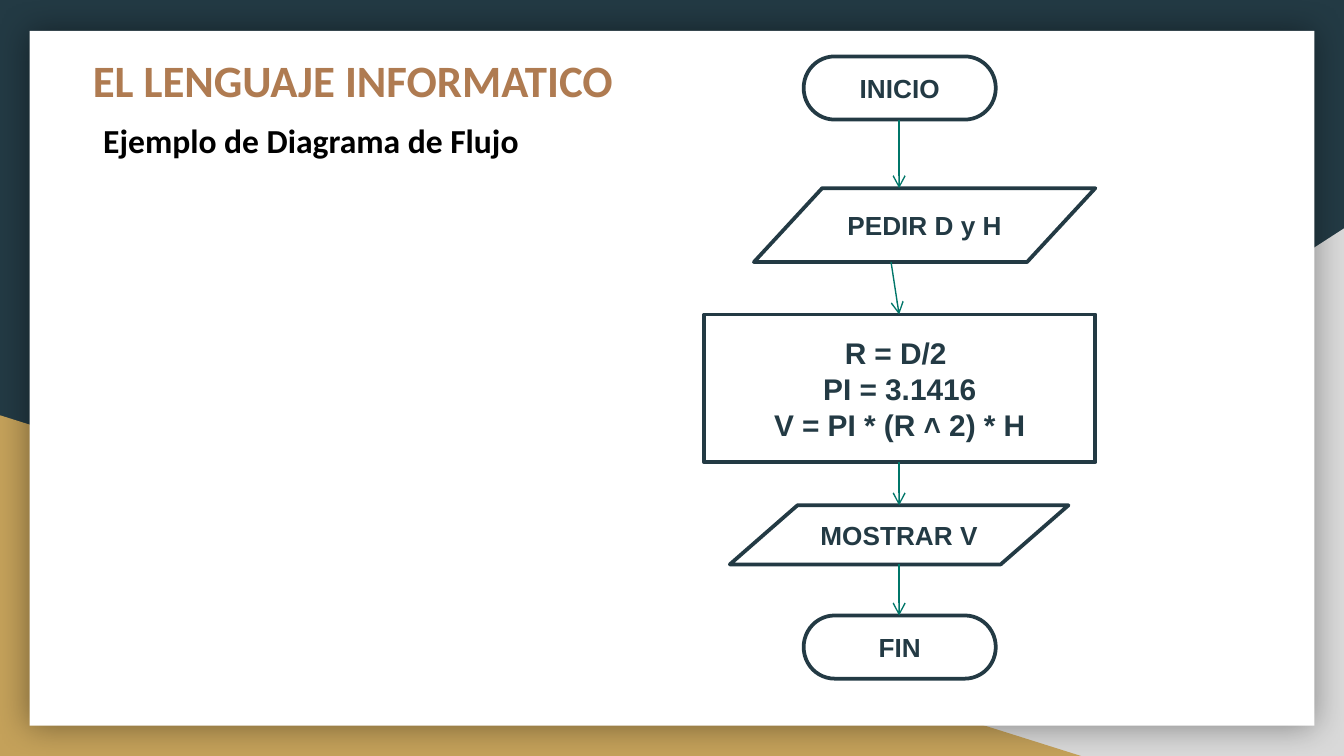
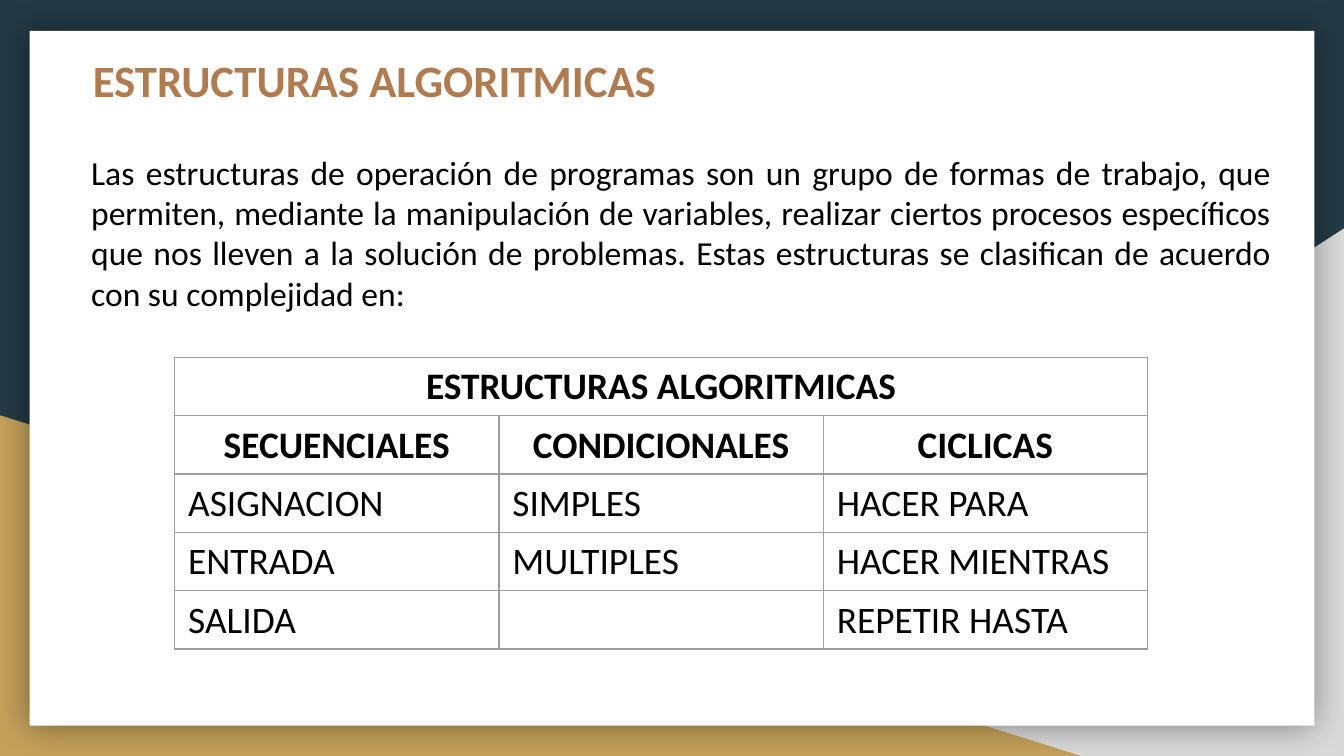
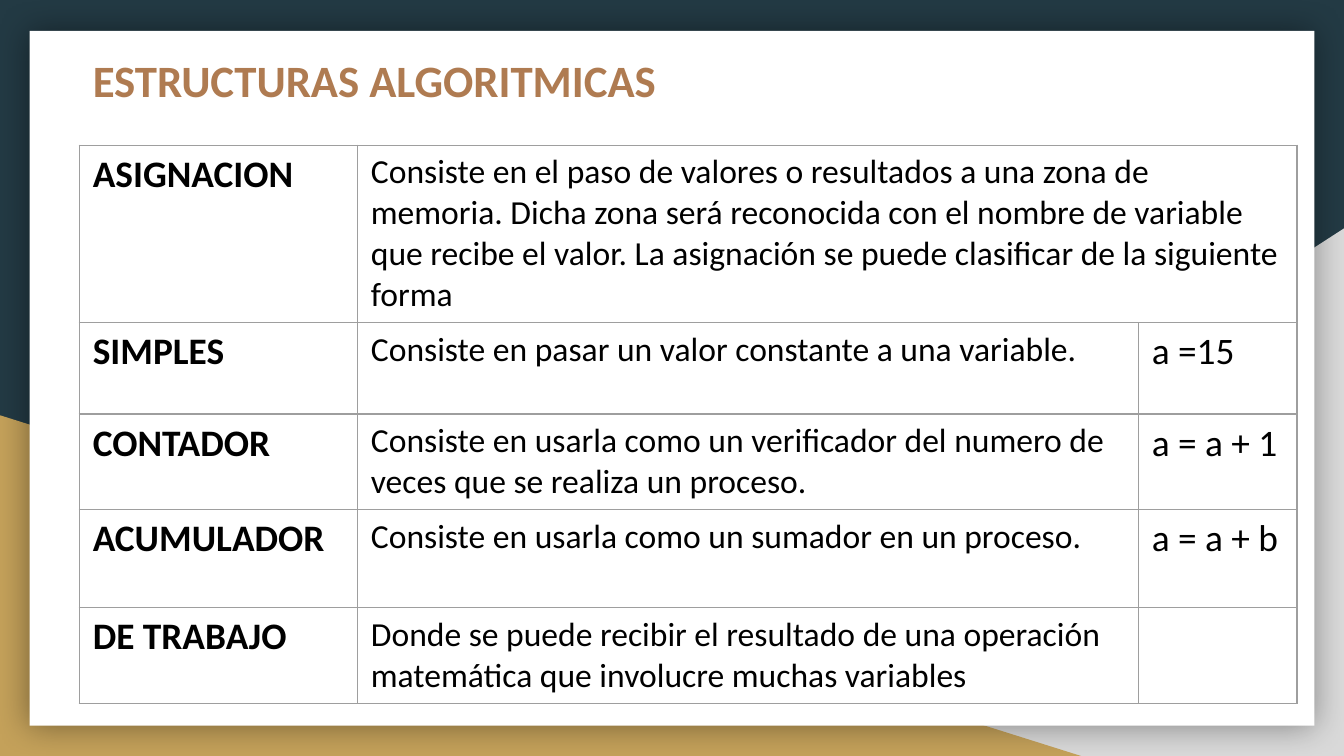
from lxml.etree import SubElement
from pptx import Presentation
from pptx.dml.color import RGBColor
from pptx.enum.shapes import MSO_CONNECTOR, MSO_SHAPE
from pptx.enum.text import MSO_ANCHOR, MSO_AUTO_SIZE, PP_ALIGN
from pptx.oxml.ns import qn
from pptx.util import Inches, Pt

WIDTH = 10
HEIGHT = WIDTH * 9 / 16

NAVY, GOLD, GREY, WHITE = "233A44", "C4A15A", "D9D9D9", "FFFFFF"
BROWN, BLACK, GREEN, RULE = "AF7B51", "000000", "007669", "9E9E9E"

FLOW_TITLE = "EL LENGUAJE INFORMATICO"
FLOW_SUB = "Ejemplo de Diagrama de Flujo"
TYPES_TITLE = "ESTRUCTURAS ALGORITMICAS"

END, DATA, STEP = (MSO_SHAPE.FLOWCHART_TERMINATOR, MSO_SHAPE.FLOWCHART_DATA,
                   MSO_SHAPE.FLOWCHART_PROCESS)
AXIS = 6.69
# kind, text, size, box, x where the arrow leaves
FLOW = [
    (END, "INICIO", 14, (5.98, 0.42, 1.43, 0.47), AXIS),
    (DATA, "PEDIR D y H", 14, (5.61, 1.4, 2.54, 0.55), 6.63),
    (STEP, "R = D/2 \nPI = 3.1416\nV = PI * (R ˄ 2) * H", 16,
     (5.24, 2.34, 2.91, 1.1), AXIS),
    (DATA, "MOSTRAR V", 14, (5.43, 3.76, 2.52, 0.44), AXIS),
    (END, "FIN", 14, (5.98, 4.58, 1.43, 0.47), AXIS),
]

INTRO = ("Las estructuras de operación de programas son un grupo de formas de "
         "trabajo, que permiten, mediante la manipulación de variables, realizar "
         "ciertos procesos específicos que nos lleven a la solución de problemas. "
         "Estas estructuras se clasifican de acuerdo con su complejidad en:")
TYPES = [
    ("ESTRUCTURAS ALGORITMICAS", "", ""),
    ("SECUENCIALES", "CONDICIONALES", "CICLICAS"),
    ("ASIGNACION", "SIMPLES", "HACER PARA"),
    ("ENTRADA", "MULTIPLES", "HACER MIENTRAS"),
    ("SALIDA", "", "REPETIR HASTA"),
]
ASSIGN = [
    ("ASIGNACION", "Consiste en el paso de valores o resultados a una zona de "
     "memoria. Dicha zona será reconocida con el nombre de variable que recibe "
     "el valor. La asignación se puede clasificar de la siguiente forma", ""),
    ("SIMPLES", "Consiste en pasar un valor constante a una variable.", "a =15"),
    ("CONTADOR", "Consiste en usarla como un verificador del numero de veces que "
     "se realiza un proceso.", "a = a + 1"),
    ("ACUMULADOR", "Consiste en usarla como un sumador en un proceso.", "a = a + b"),
    ("DE TRABAJO", "Donde se puede recibir el resultado de una operación "
     "matemática que involucre muchas variables", ""),
]


def color(code):
    return RGBColor.from_string(code)


def inches(box):
    return [Inches(n) for n in box]


def write(frame, text, size, bold=False, align=PP_ALIGN.LEFT, ink=BLACK,
          font="Calibri"):
    frame.text = text
    for para in frame.paragraphs:
        para.alignment = align
        for run in para.runs:
            run.font.name, run.font.size, run.font.bold = font, Pt(size), bold
            run.font.color.rgb = color(ink)


def add_box(slide, kind, box, fill=None, line=None):
    shape = slide.shapes.add_shape(kind, *inches(box))
    shape.shadow.inherit = False
    if fill:
        shape.fill.solid()
        shape.fill.fore_color.rgb = color(fill)
    else:
        shape.fill.background()
    if line:
        shape.line.color.rgb = color(line)
        shape.line.width = Pt(2)
    else:
        shape.line.fill.background()
    return shape


def add_glow(shape):
    """Give the shape a soft, centred shadow."""
    effects = shape.element.spPr.find(qn("a:effectLst"))
    glow = SubElement(effects, qn("a:outerShdw"), blurRad=str(Pt(18)), dist="0",
                      dir="0", algn="ctr", rotWithShape="0")
    ink = SubElement(glow, qn("a:srgbClr"), val=BLACK)
    SubElement(ink, qn("a:alpha"), val="40000")


def set_theme(deck, layout, slide):
    """Draw the backdrop and hand it to the layout, so every slide shows it."""
    back = deck.slide_master.background.fill
    back.solid()
    back.fore_color.rgb = color(NAVY)
    right = add_box(slide, MSO_SHAPE.RIGHT_TRIANGLE, (3.92, 1.7, 6.08, 3.93), GREY)
    right.element.spPr.find(qn("a:xfrm")).set("flipH", "1")
    left = add_box(slide, MSO_SHAPE.RIGHT_TRIANGLE, (0, 3.09, 8.06, 2.54), GOLD)
    card = add_box(slide, MSO_SHAPE.RECTANGLE, (0.22, 0.23, 9.56, 5.17), WHITE)
    add_glow(card)
    for spot, shape in enumerate((right, left, card), start=2):
        layout.shapes.element.insert(spot, shape.element)


def set_title(slide, text):
    title = slide.shapes.title
    title.left, title.top, title.width, title.height = inches((0.59, 0.29, 8.9, 0.71))
    frame = title.text_frame
    frame.auto_size = MSO_AUTO_SIZE.NONE
    frame.vertical_anchor = MSO_ANCHOR.TOP
    frame.margin_left = frame.margin_right = Inches(0.1)
    frame.margin_top = frame.margin_bottom = Inches(0.1)
    write(frame, text, 24, True, ink=BROWN)


def add_text(slide, text, box, **style):
    frame = slide.shapes.add_textbox(*inches(box)).text_frame
    frame.word_wrap = True
    frame.auto_size = MSO_AUTO_SIZE.SHAPE_TO_FIT_TEXT
    write(frame, text, 18, **style)


def add_arrow(slide, start, end):
    arrow = slide.shapes.add_connector(MSO_CONNECTOR.STRAIGHT, *inches(start + end))
    arrow.line.color.rgb = color(GREEN)
    arrow.line.width = Pt(0.75)
    line = arrow.element.spPr.find(qn("a:ln"))
    SubElement(line, qn("a:tailEnd"), type="arrow")
    SubElement(arrow.element.spPr, qn("a:effectLst"))


def add_borders(cell):
    props = cell._tc.get_or_add_tcPr()
    for spot, side in enumerate(("a:lnL", "a:lnR", "a:lnT", "a:lnB")):
        edge = SubElement(props, qn(side), w=str(Pt(0.75)))
        fill = SubElement(edge, qn("a:solidFill"))
        SubElement(fill, qn("a:srgbClr"), val=RULE)
        props.insert(spot, edge)


def add_grid(slide, data, box, cols, rows, merge, style):
    """Add a table; style(row, col) gives size, bold and alignment of a cell."""
    table = slide.shapes.add_table(len(rows), len(cols), *inches(box)).table
    table.first_row = table.horz_banding = False
    for col, width in zip(table.columns, cols):
        col.width = Inches(width)
    for row, height in zip(table.rows, rows):
        row.height = Inches(height)
    for r, line in enumerate(data):
        for c, text in enumerate(line):
            cell = table.cell(r, c)
            cell.fill.background()
            add_borders(cell)
            if text:
                write(cell.text_frame, text, *style(r, c))
    first, last = merge
    table.cell(*first).merge(table.cell(*last))


def add_flow(slide):
    for kind, text, size, box, _ in FLOW:
        shape = add_box(slide, kind, box, line=NAVY)
        shape.text_frame.vertical_anchor = MSO_ANCHOR.MIDDLE
        write(shape.text_frame, text, size, True, PP_ALIGN.CENTER, NAVY, "Arial")
    for (*_, box, leave), (*_, below, _) in zip(FLOW, FLOW[1:]):
        add_arrow(slide, (leave, box[1] + box[3]), (AXIS, below[1]))


def type_style(row, col):
    head = row < 2
    return 20, head, PP_ALIGN.CENTER if head else PP_ALIGN.LEFT


def assign_style(row, col):
    return 18 if col == 1 else 20, col == 0


def main():
    deck = Presentation()
    deck.slide_width, deck.slide_height = inches((WIDTH, HEIGHT))
    layout = deck.slide_layouts[5]
    flow, types, assign = [deck.slides.add_slide(layout) for _ in range(3)]
    set_theme(deck, layout, flow)

    set_title(flow, FLOW_TITLE)
    add_text(flow, FLOW_SUB, (0.67, 0.84, 8.66, 0.4), bold=True)
    add_flow(flow)

    set_title(types, TYPES_TITLE)
    add_text(types, INTRO, (0.58, 1.08, 8.98, 1.31), align=PP_ALIGN.JUSTIFY)
    add_grid(types, TYPES, (1.3, 2.66, 7.24, 2.17), [7.24 / 3] * 3, [0.41] * 5,
             ((0, 0), (0, 2)), type_style)

    set_title(assign, TYPES_TITLE)
    add_grid(assign, ASSIGN, (0.59, 1.08, 9.06, 4.12), [2.07, 5.81, 1.18],
             [1.18, 0.68, 0.68, 0.73, 0.39], ((0, 1), (0, 2)), assign_style)
    deck.save("out.pptx")


if __name__ == "__main__":
    main()
